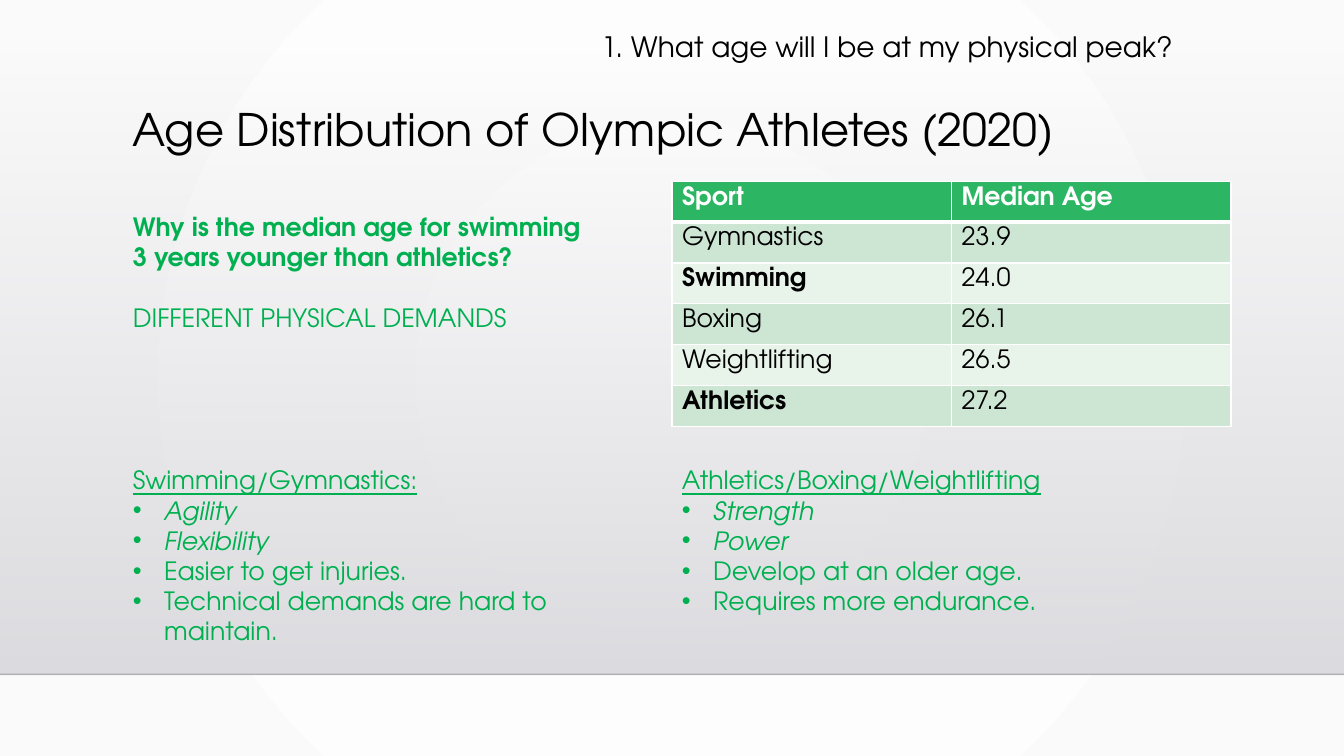
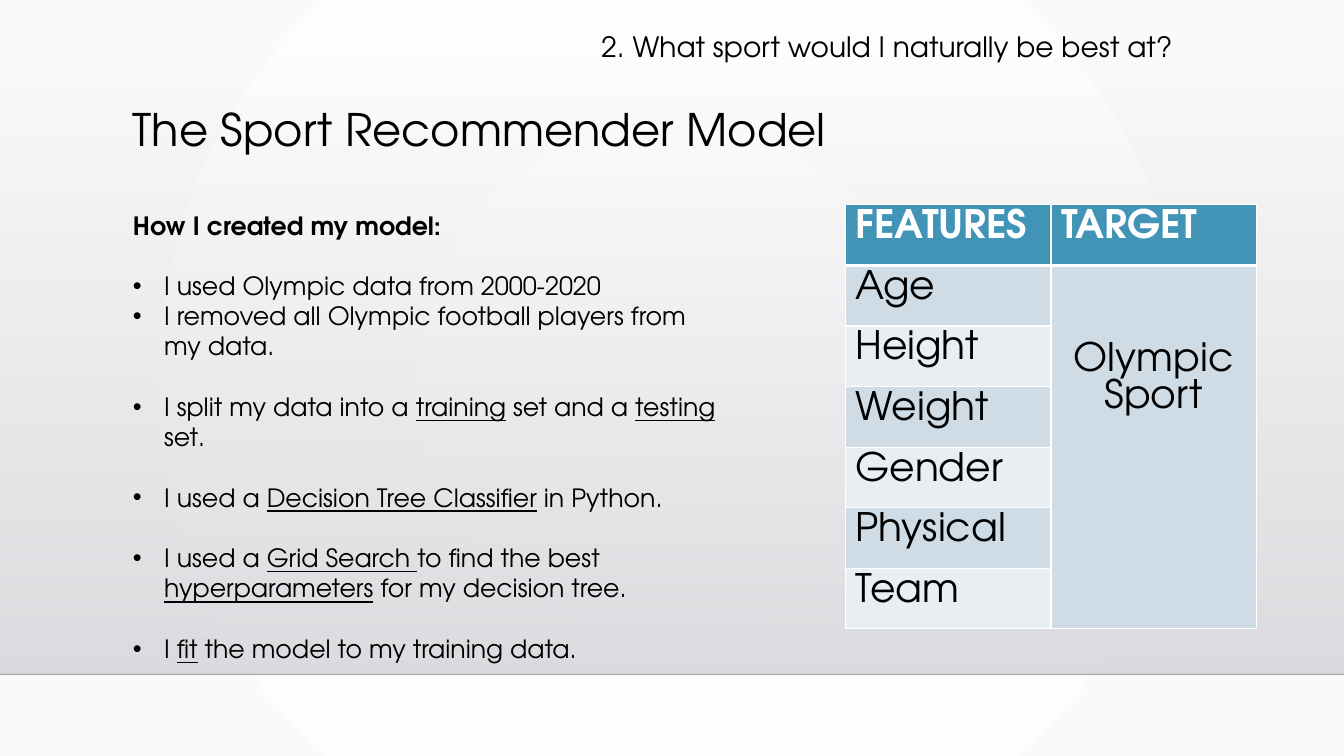
from dataclasses import dataclass

from lxml.etree import SubElement
from pptx import Presentation
from pptx.dml.color import RGBColor
from pptx.enum.shapes import MSO_CONNECTOR, MSO_SHAPE
from pptx.enum.text import MSO_ANCHOR, MSO_AUTO_SIZE, PP_ALIGN
from pptx.oxml import parse_xml
from pptx.oxml.ns import nsdecls, qn
from pptx.util import Inches, Pt

WIDTH, HEIGHT = Inches(13.33), Inches(7.5)
FONT = "TeX Gyre Adventor"
BULLET_FONT = "Arial"
BODY_SIZE = 18
BLANK_LINE = Pt(1.2 * BODY_SIZE)

BLACK = RGBColor(0x00, 0x00, 0x00)
WHITE = RGBColor(0xFF, 0xFF, 0xFF)
OFF_WHITE = RGBColor(0xFA, 0xFA, 0xFA)
BAND_TOP = RGBColor(0xDC, 0xDC, 0xE0)
BAND_BOTTOM = RGBColor(0xDE, 0xDE, 0xE2)
RULE = RGBColor(0x00, 0x00, 0x01)
GREEN = RGBColor(0x00, 0xB0, 0x50)

LEFT, MIDDLE = 9.15, 50
BAND_START, BAND_END = 6.8, 89.2


@dataclass
class Line:
    """One paragraph; underscores enclose its underlined words."""

    text: str
    bold: bool = False
    italic: bool = False
    bullet: bool = False
    gap: bool = False


@dataclass
class Palette:
    """Fills of a table's header and of its alternating rows."""

    header: RGBColor
    odd: RGBColor
    even: RGBColor


GREENS = Palette(RGBColor(0x2C, 0xB6, 0x63), RGBColor(0xCD, 0xE5, 0xD3), RGBColor(0xE8, 0xF3, 0xEA))
BLUES = Palette(RGBColor(0x42, 0x94, 0xB6), RGBColor(0xCF, 0xDC, 0xE5), RGBColor(0xE9, 0xEE, 0xF3))


def frame(left, top, width, height):
    """Turn percentages of the slide into lengths."""
    return (int(WIDTH * left / 100), int(HEIGHT * top / 100),
            int(WIDTH * width / 100), int(HEIGHT * height / 100))


def style(paragraph, size, color, bold=False, italic=False):
    """Set the font of a whole paragraph."""
    font = paragraph.font
    font.name, font.size, font.bold, font.italic = FONT, Pt(size), bold, italic
    font.color.rgb = color


def set_stops(fill, first, last):
    """Give a gradient its two end colours."""
    for stop, position, color in zip(fill.gradient_stops, (0, 1), (first, last)):
        stop.position, stop.color.rgb = position, color


def set_alpha(element, percent):
    """Set the opacity of the first colour inside an element."""
    color = next(element.iter(qn("a:srgbClr")))
    SubElement(color, qn("a:alpha")).set("val", str(percent * 1000))


def paint_background(master):
    """Fill the master with a circular gradient."""
    fill = master.background.fill
    fill.gradient()
    set_stops(fill, WHITE, OFF_WHITE)
    gradient = next(master.element.iter(qn("a:gradFill")))
    gradient.replace(gradient.find(qn("a:lin")), parse_xml(
        f'<a:path {nsdecls("a")} path="circle">'
        '<a:fillToRect l="50000" t="50000" r="50000" b="50000"/></a:path>'))


def add_band(page, master):
    """Draw the grey band and its rule, and hand them to the master."""
    band = page.shapes.add_shape(MSO_SHAPE.RECTANGLE, *frame(0, BAND_START, 100, BAND_END - BAND_START))
    band.shadow.inherit = False
    band.line.fill.background()
    band.fill.gradient()
    band.fill.gradient_angle = 270
    set_stops(band.fill, BAND_TOP, BAND_BOTTOM)
    set_alpha(band.element, 0)

    level = int(HEIGHT * BAND_END / 100)
    rule = page.shapes.add_connector(MSO_CONNECTOR.STRAIGHT, 0, level, WIDTH, level)
    rule.line.color.rgb, rule.line.width = RULE, Pt(1)
    set_alpha(rule.element, 20)
    SubElement(rule.element.spPr, qn("a:effectLst"))

    first = master.shapes[0].element
    for number, shape in enumerate((band, rule), start=101):
        next(shape.element.iter(qn("p:cNvPr"))).set("id", str(number))
        first.addprevious(shape.element)


def set_heading(shape, place, text, size):
    """Place and format a one-line heading."""
    shape.left, shape.top, shape.width, shape.height = frame(*place)
    box = shape.text_frame
    box.text, box.word_wrap = text, True
    box.auto_size, box.vertical_anchor = MSO_AUTO_SIZE.NONE, MSO_ANCHOR.TOP
    paragraph = box.paragraphs[0]
    paragraph.alignment, paragraph.line_spacing = PP_ALIGN.LEFT, 0.9
    style(paragraph, size, BLACK)


def add_page(deck, question, heading):
    """Add a slide with its question as title and a large heading."""
    page = deck.slides.add_slide(deck.slide_layouts[5])
    set_heading(page.shapes.title, (44, 3.75, 46.4, 9.5), question, 20)
    place = (LEFT, 13.6, 78.75, 9.5)
    set_heading(page.shapes.add_textbox(*frame(*place)), place, heading, 32)
    return page


def add_bullet(paragraph):
    """Give a paragraph a bullet with a hanging indent."""
    properties = paragraph._p.get_or_add_pPr()
    indent = Inches(0.31)
    properties.set("marL", str(indent))
    properties.set("indent", str(-indent))
    SubElement(properties, qn("a:buFont")).set("typeface", BULLET_FONT)
    SubElement(properties, qn("a:buChar")).set("char", "•")


def add_text(page, place, color, lines):
    """Add a text box of styled lines."""
    box = page.shapes.add_textbox(*frame(*place)).text_frame
    box.word_wrap, box.auto_size = True, MSO_AUTO_SIZE.SHAPE_TO_FIT_TEXT
    for index, line in enumerate(lines):
        paragraph = box.add_paragraph() if index else box.paragraphs[0]
        if line.bullet:
            add_bullet(paragraph)
        if line.gap:
            paragraph.space_before = BLANK_LINE
        style(paragraph, BODY_SIZE, color, line.bold, line.italic)
        for part, words in enumerate(line.text.split("_")):
            if words:
                span = paragraph.add_run()
                span.text = words
                if part % 2:
                    span.font.underline = True


def add_borders(cell, row):
    """Draw white cell borders, thick below the header row."""
    properties = cell._tc.get_or_add_tcPr()
    thick = {0: "lnB", 1: "lnT"}.get(row)
    for side in ("lnL", "lnR", "lnT", "lnB"):
        width = Pt(3 if side == thick else 1)
        properties.append(parse_xml(
            f'<a:{side} {nsdecls("a")} w="{width}"><a:solidFill>'
            f'<a:srgbClr val="{WHITE}"/></a:solidFill></a:{side}>'))


def add_grid(page, place, rows, size, palette, bold_words=()):
    """Add a table with a header and banded rows."""
    table = page.shapes.add_table(len(rows), len(rows[0]), *frame(*place)).table
    for row, words in enumerate(rows):
        fill = palette.header if row == 0 else palette.odd if row % 2 else palette.even
        for column, text in enumerate(words):
            cell = table.cell(row, column)
            add_borders(cell, row)
            cell.fill.solid()
            cell.fill.fore_color.rgb = fill
            cell.text = text
            style(cell.text_frame.paragraphs[0], size, BLACK if row else WHITE,
                  row == 0 or text in bold_words)
    return table


def merge_target(table):
    """Join the cells below the second header into one centred cell."""
    target = table.cell(1, 1)
    target.merge(table.cell(len(table.rows) - 1, 1))
    target.margin_top = Inches(0.77)
    target.text_frame.paragraphs[0].alignment = PP_ALIGN.CENTER


def add_age_page(deck):
    """Build the slide on the ages of athletes."""
    page = add_page(deck, "1. What age will I be at my physical peak?",
                    "Age Distribution of Olympic Athletes (2020)")
    add_text(page, (LEFT, 27.3, 35.3, 29.6), GREEN, [
        Line("Why is the median age for swimming 3 years younger than athletics?", bold=True),
        Line("DIFFERENT PHYSICAL DEMANDS", gap=True),
    ])
    ages = [("Sport", "Median Age"), ("Gymnastics", "23.9"), ("Swimming", "24.0"),
            ("Boxing", "26.1"), ("Weightlifting", "26.5"), ("Athletics", "27.2")]
    add_grid(page, (MIDDLE, 24, 41.6, 32.4), ages, BODY_SIZE, GREENS, ("Swimming", "Athletics"))
    demands = [
        ((LEFT, 60.8, 37.6, 33.6), "Swimming/Gymnastics:", ("Agility", "Flexibility"),
         ("Easier to get injuries.", "Technical demands are hard to maintain.")),
        ((MIDDLE, 60.8, 41.6, 21.6), "Athletics/Boxing/Weightlifting", ("Strength", "Power"),
         ("Develop at an older age.", "Requires more endurance.")),
    ]
    for place, sports, qualities, remarks in demands:
        add_text(page, place, GREEN, [
            Line(f"_{sports}_"),
            *(Line(quality, italic=True, bullet=True) for quality in qualities),
            *(Line(remark, bullet=True) for remark in remarks),
        ])
    return page


def add_model_page(deck):
    """Build the slide on the recommender model."""
    page = add_page(deck, "2. What sport would I naturally be best at?", "The Sport Recommender Model")
    add_text(page, (LEFT, 27.1, 45.5, 61.9), BLACK, [
        Line("How I created my model:", bold=True),
        Line("I used Olympic data from 2000-2020", bullet=True, gap=True),
        Line("I removed all Olympic football players from my data.", bullet=True),
        *(Line(step, bullet=True, gap=True) for step in (
            "I split my data into a _training_ set and a _testing _set.",
            "I used a _Decision Tree Classifier_ in Python.",
            "I used a _Grid Search _to find the best _hyperparameters_ for my decision tree.",
            "I _fit_ the model to my training data.",
        )),
    ])
    features = [("FEATURES", "TARGET"), ("Age", "Olympic Sport")]
    features += [(name, "") for name in ("Height", "Weight", "Gender", "Physical", "Team")]
    merge_target(add_grid(page, (62.9, 27.1, 30.6, 56.1), features, 28, BLUES))


def main():
    """Build and save the deck."""
    deck = Presentation()
    deck.slide_width, deck.slide_height = WIDTH, HEIGHT
    paint_background(deck.slide_master)
    add_band(add_age_page(deck), deck.slide_master)
    add_model_page(deck)
    deck.save("out.pptx")


if __name__ == "__main__":
    main()
